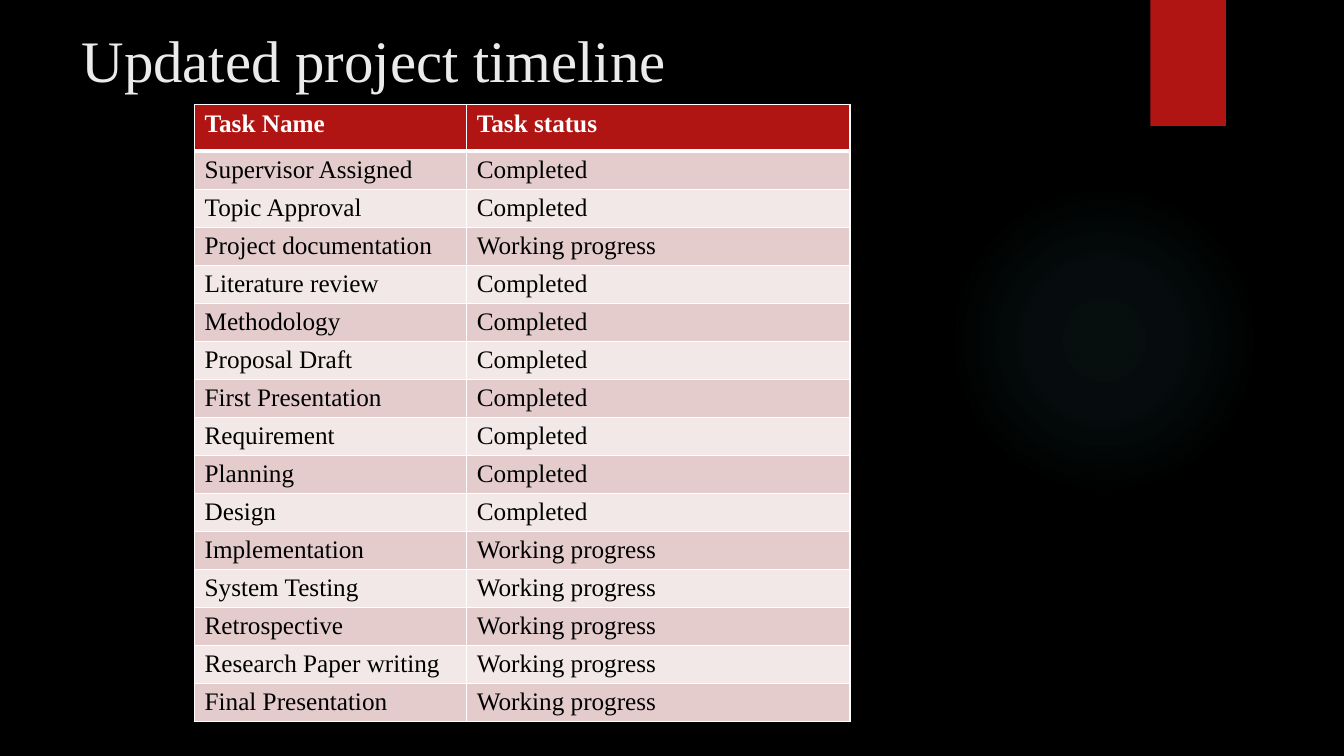
from dataclasses import dataclass
from typing import NamedTuple

from pptx import Presentation
from pptx.dml.color import RGBColor
from pptx.enum.shapes import MSO_SHAPE
from pptx.enum.text import MSO_ANCHOR, MSO_AUTO_SIZE, PP_ALIGN
from pptx.oxml import parse_xml
from pptx.oxml.ns import nsdecls
from pptx.util import Emu, Pt

PX = 9144  # 100 px to the inch


@dataclass(frozen=True)
class Theme:
    font: str = "Times New Roman"
    title_size: int = 42
    table_size: int = 18
    background: str = "000000"
    title: str = "EBEBEB"
    accent: str = "B01513"
    glow: str = "50B9C1"
    header_text: str = "FFFFFF"
    body_text: str = "000000"
    border: str = "FFFFFF"
    bands: tuple[str, str] = ("E4CCCC", "F2E8E7")


class Box(NamedTuple):
    left: int
    top: int
    width: int
    height: int

    def emu(self) -> list[Emu]:
        return [px(v) for v in self]


class Task(NamedTuple):
    name: str
    status: str


class GlowStop(NamedTuple):
    percent: int
    alpha: int


THEME = Theme()
DONE, ONGOING = "Completed", "Working progress"
HEADER = Task("Task Name", "Task status")
TASKS = [
    Task("Supervisor Assigned", DONE),
    Task("Topic Approval", DONE),
    Task("Project documentation", ONGOING),
    Task("Literature review", DONE),
    Task("Methodology", DONE),
    Task("Proposal Draft", DONE),
    Task("First Presentation", DONE),
    Task("Requirement", DONE),
    Task("Planning", DONE),
    Task("Design", DONE),
    Task("Implementation", ONGOING),
    Task("System Testing", ONGOING),
    Task("Retrospective", ONGOING),
    Task("Research Paper writing", ONGOING),
    Task("Final Presentation", ONGOING),
]
GLOW_STOPS = [GlowStop(0, 7), GlowStop(36, 6), GlowStop(69, 0)]
COLUMN_WIDTHS = (270, 380)
HEADER_HEIGHT, ROW_HEIGHT = 46, 37


def px(value: int) -> Emu:
    return Emu(value * PX)


def rgb(value: str) -> RGBColor:
    return RGBColor.from_string(value)


def add_plain_shape(s, kind: MSO_SHAPE, box: Box):
    """Add a preset shape without line or shadow."""
    shape = s.shapes.add_shape(kind, *box.emu())
    shape.shadow.inherit = False
    shape.line.fill.background()
    return shape


def add_glow(s, box: Box) -> None:
    """Add a circle that fades out from its centre."""
    sp_pr = add_plain_shape(s, MSO_SHAPE.OVAL, box).element.spPr
    stops = "".join(
        f'<a:gs pos="{stop.percent * 1000}"><a:srgbClr val="{THEME.glow}">'
        f'<a:alpha val="{stop.alpha * 1000}"/></a:srgbClr></a:gs>'
        for stop in GLOW_STOPS
    )
    gradient = parse_xml(
        f'<a:gradFill {nsdecls("a")} rotWithShape="1"><a:gsLst>{stops}</a:gsLst>'
        '<a:path path="circle"><a:fillToRect l="50000" t="50000" r="50000" b="50000"/>'
        "</a:path></a:gradFill>"
    )
    sp_pr.prstGeom.addnext(gradient)


def add_ribbon(s, box: Box) -> None:
    fill = add_plain_shape(s, MSO_SHAPE.RECTANGLE, box).fill
    fill.solid()
    fill.fore_color.rgb = rgb(THEME.accent)


def set_title(s, text: str, box: Box) -> None:
    title = s.shapes.title
    title.left, title.top, title.width, title.height = box.emu()
    tf = title.text_frame
    tf.text = text
    tf.auto_size = MSO_AUTO_SIZE.NONE
    tf.vertical_anchor = MSO_ANCHOR.MIDDLE
    p = tf.paragraphs[0]
    p.alignment = PP_ALIGN.LEFT
    p.font.name = THEME.font
    p.font.size = Pt(THEME.title_size)
    p.font.color.rgb = rgb(THEME.title)


def set_borders(cell, top: int, bottom: int) -> None:
    """Draw the four cell borders, the sides 1 pt wide."""
    tc_pr = cell._tc.get_or_add_tcPr()
    for side, width in (("L", 1), ("R", 1), ("T", top), ("B", bottom)):
        tc_pr.append(parse_xml(
            f'<a:ln{side} {nsdecls("a")} w="{Pt(width)}"><a:solidFill>'
            f'<a:srgbClr val="{THEME.border}"/></a:solidFill></a:ln{side}>'
        ))


def format_cell(cell, text: str, row: int) -> None:
    is_header = row == 0
    set_borders(cell, top=3 if row == 1 else 1, bottom=3 if is_header else 1)
    cell.fill.solid()
    cell.fill.fore_color.rgb = rgb(THEME.accent if is_header else THEME.bands[(row - 1) % 2])
    cell.text = text
    font = cell.text_frame.paragraphs[0].font
    font.name = THEME.font
    font.size = Pt(THEME.table_size)
    font.bold = is_header
    font.color.rgb = rgb(THEME.header_text if is_header else THEME.body_text)


def add_task_table(s, left: int, top: int) -> None:
    rows = [HEADER, *TASKS]
    box = Box(left, top, sum(COLUMN_WIDTHS), HEADER_HEIGHT + ROW_HEIGHT * len(TASKS))
    table = s.shapes.add_table(len(rows), len(COLUMN_WIDTHS), *box.emu()).table
    for column, width in zip(table.columns, COLUMN_WIDTHS):
        column.width = px(width)
    for i, task in enumerate(rows):
        table.rows[i].height = px(ROW_HEIGHT if i else HEADER_HEIGHT)
        for j, text in enumerate(task):
            format_cell(table.cell(i, j), text, i)


def main() -> None:
    prs = Presentation()
    prs.slide_width, prs.slide_height = px(1333), px(750)
    s = prs.slides.add_slide(prs.slide_layouts[5])
    s.background.fill.solid()
    s.background.fill.fore_color.rgb = rgb(THEME.background)
    add_glow(s, Box(941, 183, 308, 308))
    add_ribbon(s, Box(1141, 0, 75, 125))
    set_title(s, "Updated project timeline", Box(71, 14, 1029, 89))
    add_task_table(s, left=193, top=104)
    prs.save("out.pptx")


if __name__ == "__main__":
    main()
